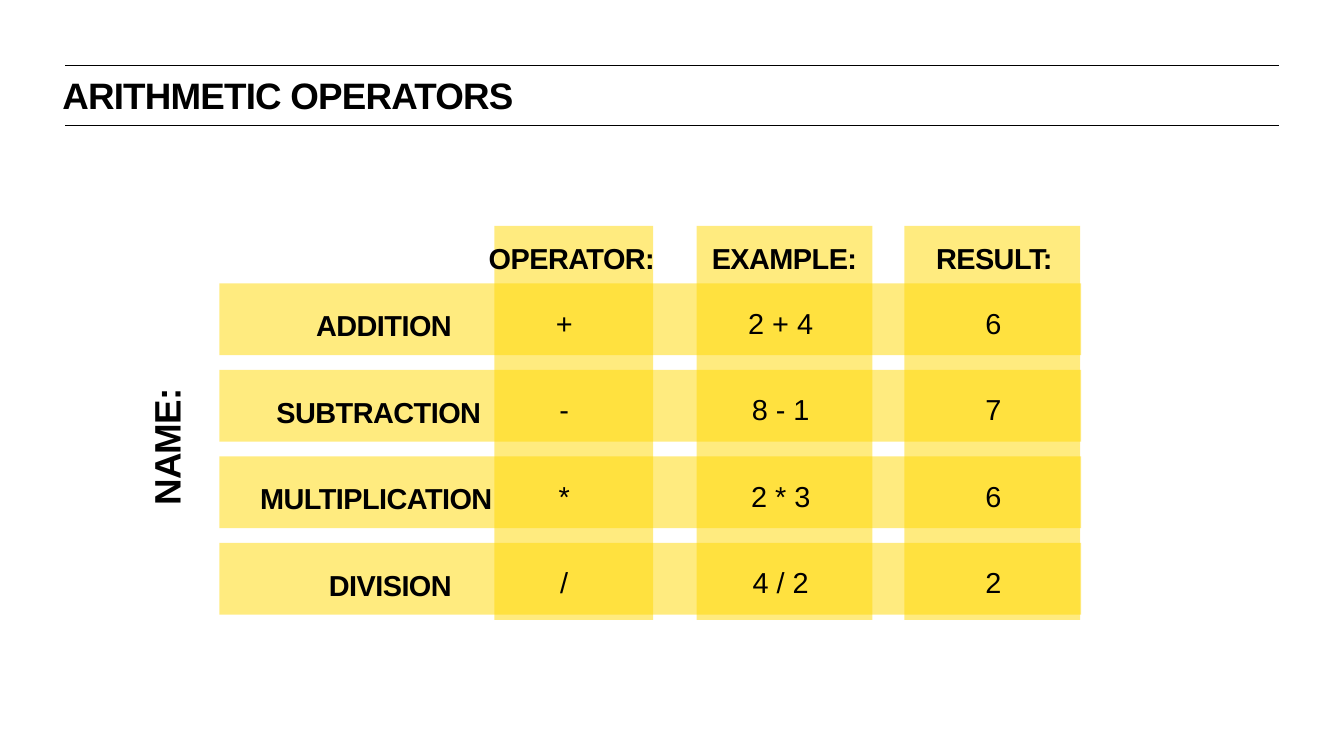
import pptx
import pptx.util
import pptx.dml.color
import pptx.enum.shapes
import pptx.enum.text
import pptx.oxml.ns
import lxml.etree

SLIDE_W, SLIDE_H = 14.22, 7.99
COLORS = {"ink": "000000", "band": "FFD800"}
FONT = "Arial"
ALIGN = pptx.enum.text.PP_ALIGN
ANCHOR = pptx.enum.text.MSO_ANCHOR

RULE_LEFT, RULE_RIGHT = 0.69, 13.53
RULE_YS = (0.69, 1.33)

ROW_LEFT, ROW_RIGHT = 2.32, 11.44
ROW_TOP, ROW_PITCH, ROW_H = 3.0, 0.915, 0.76
COL_TOP, COL_H = 2.39, 4.17
TEXT_DROP = 0.18
HEADER_TOP = 2.47

# heading, band left, band width, heading centre, heading width, value centre, value width
COLUMNS = [
    ("OPERATOR:", 5.23, 1.68, 6.05, 2.41, 5.97, 0.3),
    ("EXAMPLE:", 7.37, 1.86, 8.3, 1.63, 8.26, 0.78),
    ("RESULT:", 9.57, 1.86, 10.52, 1.63, 10.51, 0.29),
]
# name, right edge of the name, width of the name, values
ROWS = [
    ("ADDITION", 4.78, 2.14, ("+", "2 + 4", "6")),
    ("SUBTRACTION", 5.09, 2.76, ("-", "8 - 1", "7")),
    ("MULTIPLICATION", 5.21, 3.34, ("*", "2 * 3", "6")),
    ("DIVISION", 4.78, 2.14, ("/", "4 / 2", "2")),
]


def inches(*values):
    return [pptx.util.Inches(v) for v in values]


def rgb(name):
    return pptx.dml.color.RGBColor.from_string(COLORS[name])


def set_text(sp, text, size=22, bold=True, align=ALIGN.LEFT, anchor=ANCHOR.TOP,
             inset=0, leading=32, spacing=-0.4, wrap=True):
    """Fill a shape with one formatted line; sizes, leading and spacing in points."""
    tf = sp.text_frame
    tf.auto_size = pptx.enum.text.MSO_AUTO_SIZE.NONE
    tf.word_wrap = wrap
    tf.vertical_anchor = anchor
    tf.margin_left = tf.margin_right = tf.margin_top = tf.margin_bottom = pptx.util.Inches(inset)
    p = tf.paragraphs[0]
    p.alignment = align
    if leading:
        p.line_spacing = pptx.util.Pt(leading)
    r = p.add_run()
    r.text = text
    r.font.name = FONT
    r.font.size = pptx.util.Pt(size)
    r.font.bold = bold
    r.font.color.rgb = rgb("ink")
    if spacing:
        r._r.get_or_add_rPr().set("spc", str(round(spacing * 100)))


def add_label(s, x, y, w, h, text, **style):
    sp = s.shapes.add_textbox(*inches(x, y, w, h))
    set_text(sp, text, **style)
    return sp


def add_value(s, centre, y, w, text):
    add_label(s, centre - w / 2, y, w, 0.47, text, bold=False, align=ALIGN.CENTER,
              anchor=ANCHOR.MIDDLE, inset=0.06, leading=None, spacing=0, wrap=False)


def add_rule(s, y):
    line = s.shapes.add_connector(pptx.enum.shapes.MSO_CONNECTOR.STRAIGHT,
                                  *inches(RULE_LEFT, y, RULE_RIGHT, y))
    line.line.color.rgb = rgb("ink")
    line.line.width = pptx.util.Pt(1)
    lxml.etree.SubElement(line._element.spPr, pptx.oxml.ns.qn("a:effectLst"))


def add_band(s, x, y, w, h):
    """Half-transparent rectangle, so crossing bands deepen in colour."""
    sp = s.shapes.add_shape(pptx.enum.shapes.MSO_SHAPE.RECTANGLE, *inches(x, y, w, h))
    sp.shadow.inherit = False
    sp.line.fill.background()
    sp.fill.solid()
    sp.fill.fore_color.rgb = rgb("band")
    color = sp._element.spPr.find(".//" + pptx.oxml.ns.qn("a:srgbClr"))
    lxml.etree.SubElement(color, pptx.oxml.ns.qn("a:alpha")).set("val", "50000")


def add_title(s, text):
    title = s.shapes.title
    title.left, title.top, title.width, title.height = inches(0.66, 0.79, 8.44, 0.44)
    set_text(title, text, size=28, spacing=-0.6)


def main():
    prs = pptx.Presentation()
    prs.slide_width, prs.slide_height = inches(SLIDE_W, SLIDE_H)
    s = prs.slides.add_slide(prs.slide_layouts[5])

    for y in RULE_YS:
        add_rule(s, y)
    add_title(s, "ARITHMETIC OPERATORS")

    row_tops = [ROW_TOP + i * ROW_PITCH for i in range(len(ROWS))]
    for top in row_tops:
        add_band(s, ROW_LEFT, top, ROW_RIGHT - ROW_LEFT, ROW_H)
    for _, left, width, *_ in COLUMNS:
        add_band(s, left, COL_TOP, width, COL_H)

    for heading, _, _, centre, width, _, _ in COLUMNS:
        add_label(s, centre - width / 2, HEADER_TOP, width, 0.43, heading, align=ALIGN.CENTER)
    for top, (name, right, width, values) in zip(row_tops, ROWS):
        y = top + TEXT_DROP
        add_label(s, right - width, y, width, 0.43, name, align=ALIGN.RIGHT)
        for (*_, centre, value_w), value in zip(COLUMNS, values):
            add_value(s, centre, y, value_w, value)

    side = add_label(s, 0.4, 4.51, 2.73, 0.44, "NAME:", size=28, spacing=-0.6,
                     align=ALIGN.CENTER)
    side.rotation = 270
    prs.save("out.pptx")


if __name__ == "__main__":
    main()
